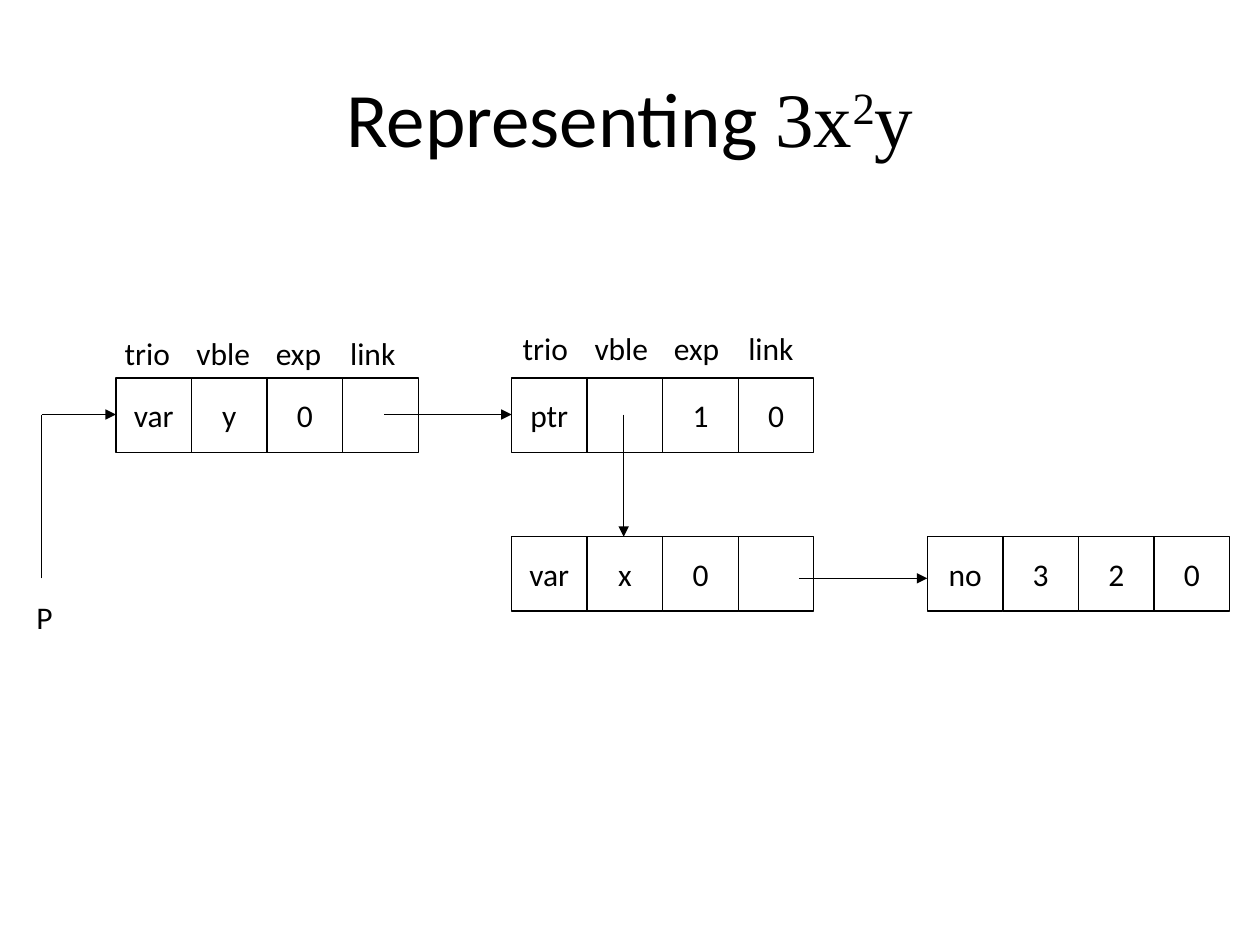
from lxml.etree import SubElement
from pptx import Presentation
from pptx.dml.color import RGBColor
from pptx.enum.shapes import MSO_CONNECTOR as Connector, MSO_SHAPE as Shape
from pptx.enum.text import MSO_ANCHOR as Anchor, MSO_AUTO_SIZE as AutoSize, PP_ALIGN as Align
from pptx.oxml.ns import qn
from pptx.util import Inches, Pt

BLACK = RGBColor(0, 0, 0)
BODY_FONT, MATH_FONT = "Calibri", "Times New Roman"
LINE_WIDTH = Pt(0.75)

# Grid: left edges of the nodes, tops of the rows, size of a cell
FIRST, SECOND, THIRD = 0.92, 4.06, 7.36
UPPER, LOWER = 3, 4.26
CELL_WIDTH, CELL_HEIGHT = 0.6, 0.59
UPPER_LINK, LOWER_LINK = 3.29, 4.59
POINTER_X, VARIABLE_X = 0.33, 4.95

NODES = [
    (FIRST, UPPER, ("var", "y", "0", "")),
    (SECOND, UPPER, ("ptr", "", "1", "0")),
    (SECOND, LOWER, ("var", "x", "0", "")),
    (THIRD, LOWER, ("no", "3", "2", "0")),
]
# Start, end, arrowhead
LINKS = [
    ((3.05, UPPER_LINK), (SECOND, UPPER_LINK), True),
    ((6.34, LOWER_LINK), (THIRD, LOWER_LINK), True),
    ((VARIABLE_X, UPPER_LINK), (VARIABLE_X, LOWER), True),
    ((POINTER_X, LOWER_LINK), (POINTER_X, UPPER_LINK), False),
    ((POINTER_X, UPPER_LINK), (FIRST, UPPER_LINK), True),
]
# Field names with their offsets from the left of the heading
FIELDS = [("trio", 0), ("vble", 0.57), ("exp", 1.2), ("link", 1.79)]
HEADINGS = [(0.89, 2.6), (4.05, 2.56)]


def set_all(target, **values):
    for name, value in values.items():
        setattr(target, name, value)


def add_run(paragraph, text, size=18, font=BODY_FONT):
    run = paragraph.add_run()
    run.text = text
    set_all(run.font, name=font, size=Pt(size))
    run.font.color.rgb = BLACK
    return run


def format_line(line):
    line.color.rgb = BLACK
    line.width = LINE_WIDTH


def set_title(slide):
    title = slide.shapes.title
    set_all(title, left=Inches(0.5), top=Inches(0.3), width=Inches(9), height=Inches(1.25))
    title.text_frame.vertical_anchor = Anchor.MIDDLE
    paragraph = title.text_frame.paragraphs[0]
    paragraph.alignment = Align.CENTER
    add_run(paragraph, "Representing ", 44)
    add_run(paragraph, "3x", 44, MATH_FONT)
    exponent = add_run(paragraph, "2", 44, MATH_FONT)
    exponent.font._element.set("baseline", "30000")
    add_run(paragraph, "y", 44, MATH_FONT)


def add_cell(slide, left, top, text):
    cell = slide.shapes.add_shape(
        Shape.RECTANGLE, Inches(left), Inches(top), Inches(CELL_WIDTH), Inches(CELL_HEIGHT))
    cell.shadow.inherit = False
    cell.fill.background()
    format_line(cell.line)
    if text:
        set_all(cell.text_frame, word_wrap=False, vertical_anchor=Anchor.MIDDLE)
        paragraph = cell.text_frame.paragraphs[0]
        paragraph.alignment = Align.CENTER
        add_run(paragraph, text)


def add_node(slide, left, top, values):
    for column, value in enumerate(values):
        add_cell(slide, left + column * CELL_WIDTH, top, value)


def add_link(slide, start, end, arrow):
    link = slide.shapes.add_connector(
        Connector.STRAIGHT, *(Inches(value) for value in start + end))
    format_line(link.line)
    if arrow:
        SubElement(link.line._get_or_add_ln(), qn("a:tailEnd"), type="triangle")
    SubElement(link._element.spPr, qn("a:effectLst"))


def add_label(slide, left, top, text, width=0.72):
    label = slide.shapes.add_textbox(Inches(left), Inches(top), Inches(width), Inches(0.4))
    set_all(label.text_frame, word_wrap=True, auto_size=AutoSize.SHAPE_TO_FIT_TEXT)
    add_run(label.text_frame.paragraphs[0], text)


def main():
    presentation = Presentation()
    set_all(presentation, slide_width=Inches(10), slide_height=Inches(7.5))
    slide = presentation.slides.add_slide(presentation.slide_layouts[5])
    set_title(slide)

    # Linked nodes
    for node in NODES:
        add_node(slide, *node)
    for link in LINKS:
        add_link(slide, *link)

    # Pointer name and field names
    add_label(slide, 0.19, 4.7, "P", width=0.41)
    for left, top in HEADINGS:
        for text, offset in FIELDS:
            add_label(slide, left + offset, top, text)

    presentation.save("out.pptx")


main()
